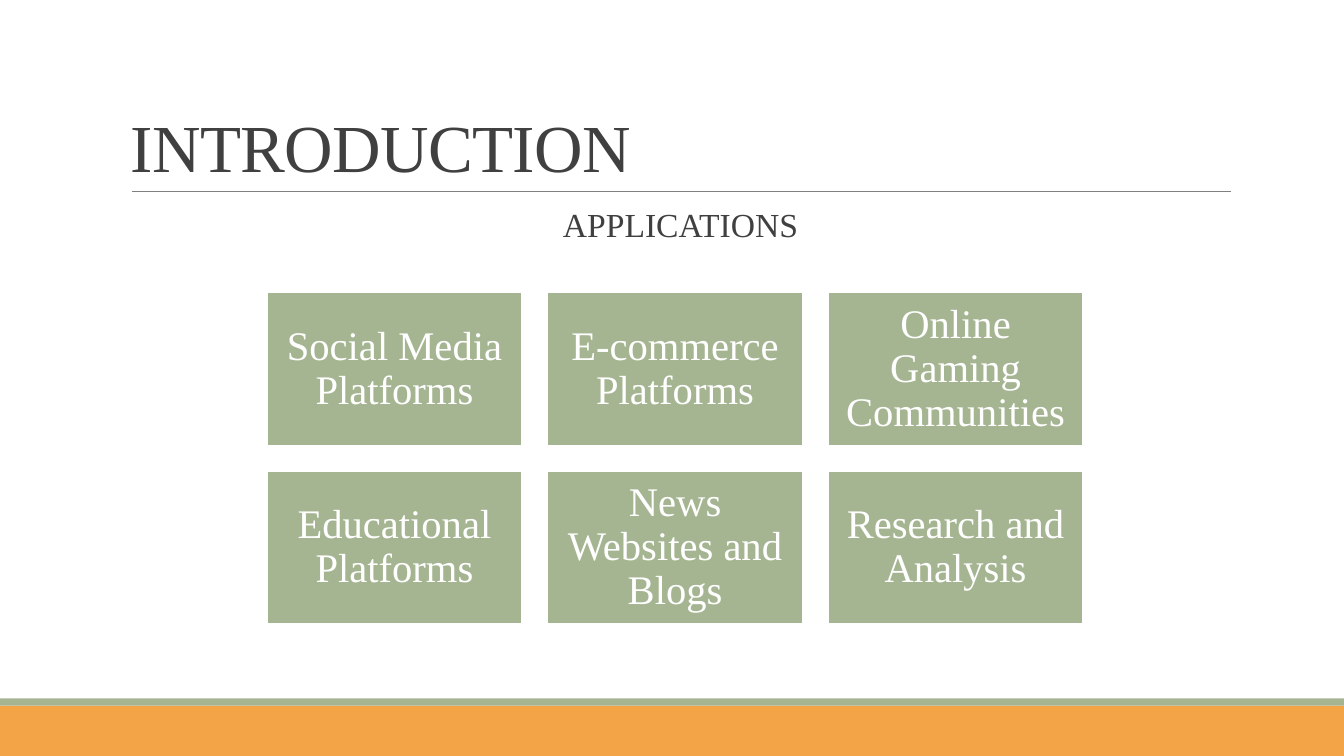
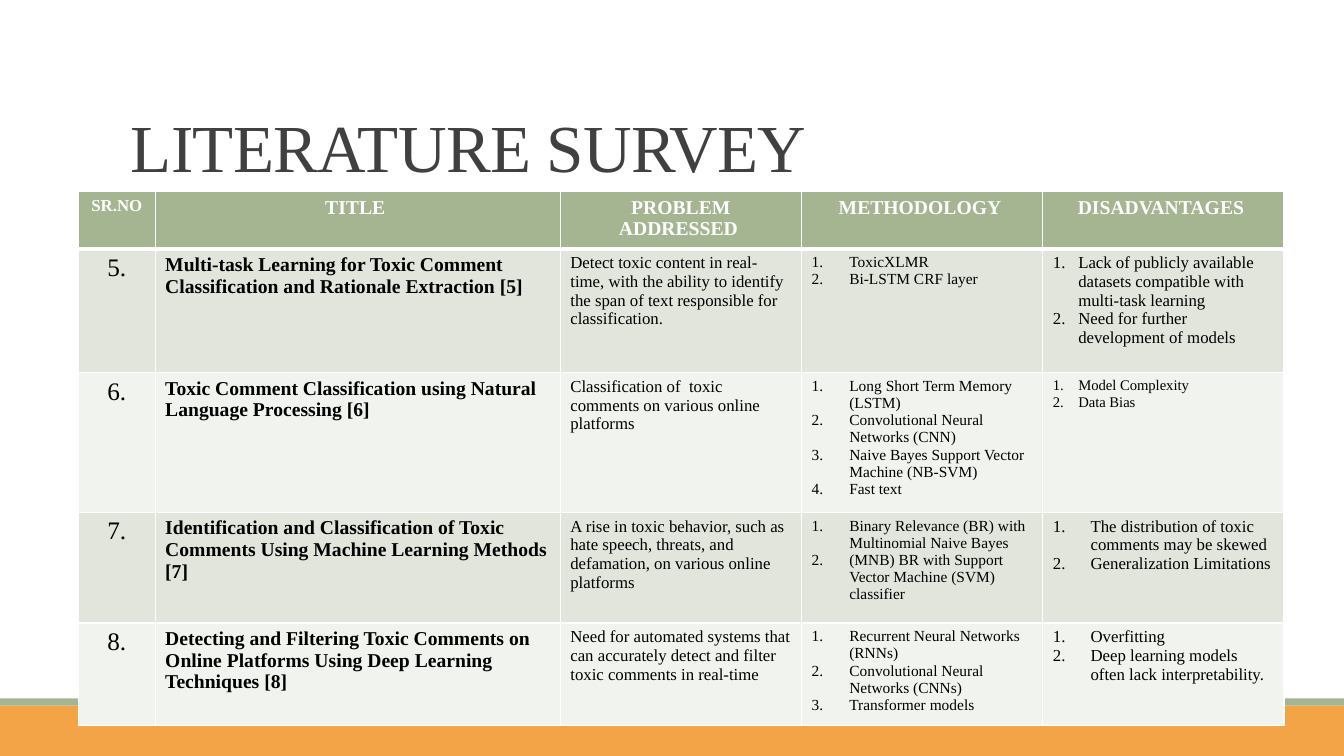
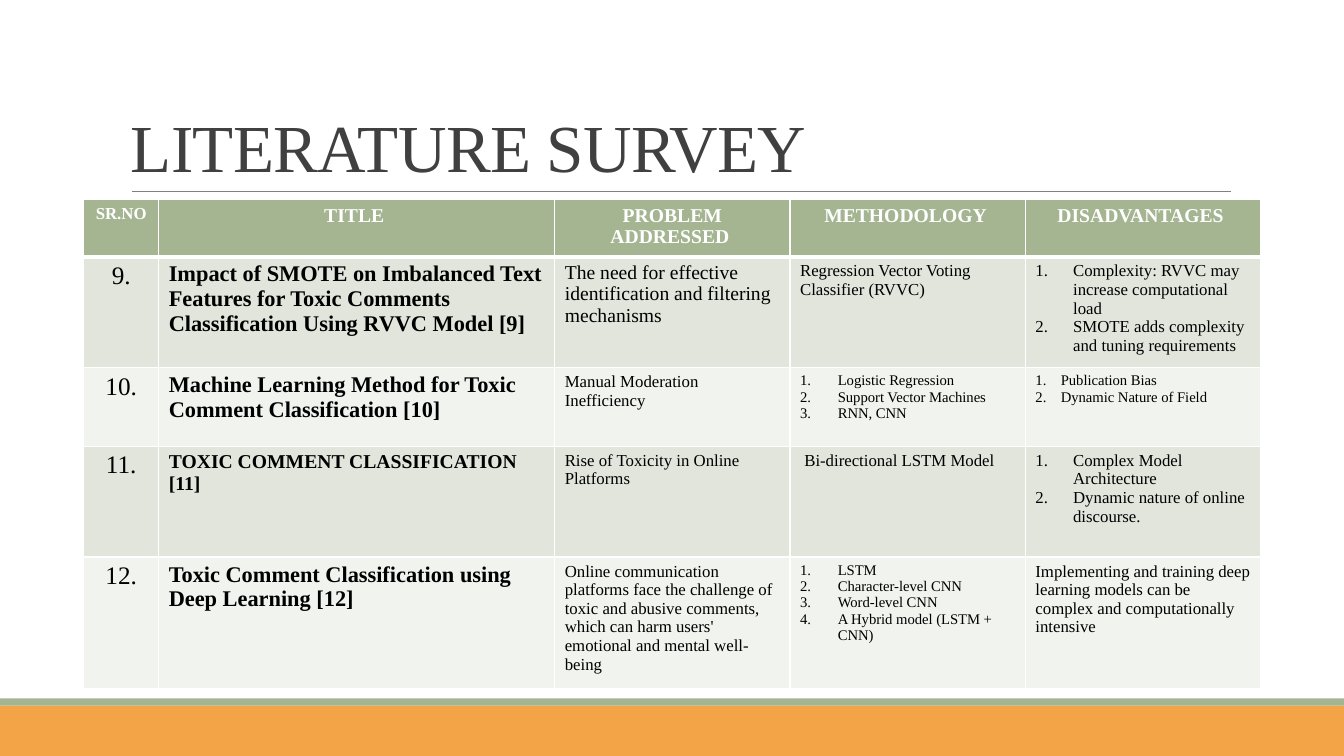
"""Build three slides on toxic comment classification."""
from dataclasses import dataclass

from lxml import etree
from pptx import Presentation
from pptx.dml.color import RGBColor
from pptx.enum.shapes import MSO_CONNECTOR, MSO_SHAPE
from pptx.enum.text import MSO_ANCHOR, PP_ALIGN
from pptx.oxml.ns import qn
from pptx.presentation import Presentation as Deck
from pptx.shapes.autoshape import Shape
from pptx.slide import Slide
from pptx.table import _Cell
from pptx.text.text import _Paragraph
from pptx.util import Cm, Pt

RECTANGLE = MSO_SHAPE.RECTANGLE
STRAIGHT = MSO_CONNECTOR.STRAIGHT
BOTTOM, MIDDLE, TOP = MSO_ANCHOR.BOTTOM, MSO_ANCHOR.MIDDLE, MSO_ANCHOR.TOP
LEFT, CENTER = PP_ALIGN.LEFT, PP_ALIGN.CENTER
BLANK_LAYOUT = 6
SLIDE_WIDTH, SLIDE_HEIGHT = 33.87, 19.05
WIDE, NARROW = 0.95, 0.64
BORDER_SIDES = ("L", "R", "T", "B")


@dataclass(frozen=True)
class Theme:
    font: str = "Times New Roman"
    white: RGBColor = RGBColor(0xFF, 0xFF, 0xFF)
    black: RGBColor = RGBColor(0x00, 0x00, 0x00)
    heading: RGBColor = RGBColor(0x40, 0x40, 0x40)
    rule: RGBColor = RGBColor(0x80, 0x80, 0x80)
    green: RGBColor = RGBColor(0xA5, 0xB5, 0x92)
    orange: RGBColor = RGBColor(0xF3, 0xA4, 0x47)
    row_dark: RGBColor = RGBColor(0xE1, 0xE5, 0xDC)
    row_light: RGBColor = RGBColor(0xF0, 0xF3, 0xEE)
    title_size: float = 48
    card_size: float = 29
    subtitle_size: float = 24
    number_size: float = 18
    large_size: float = 16
    medium_size: float = 14
    body_size: float = 12
    small_size: float = 11
    tiny_size: float = 10.5


THEME = Theme()


@dataclass(frozen=True)
class Box:
    left: float
    top: float
    width: float
    height: float


@dataclass(frozen=True)
class Band:
    box: Box
    color: RGBColor


@dataclass(frozen=True)
class CellText:
    lines: tuple[str, ...]
    size: float = THEME.body_size
    indent: float = 0
    bold: bool = False
    align: PP_ALIGN = LEFT


@dataclass(frozen=True)
class Paper:
    number: int
    title: str
    problem: str
    methodology: CellText
    disadvantages: CellText
    title_size: float = THEME.medium_size
    problem_size: float = THEME.body_size

    def cells(self) -> list[CellText]:
        return [
            CellText((f"{self.number}.",), THEME.number_size, align=CENTER),
            CellText((self.title,), self.title_size, bold=True),
            CellText((self.problem,), self.problem_size),
            self.methodology,
            self.disadvantages,
        ]


@dataclass(frozen=True)
class Survey:
    left: float
    top: float
    columns: tuple[float, ...]
    rows: tuple[float, ...]
    papers: tuple[Paper, ...]


BANDS = (
    Band(Box(0, 17.78, SLIDE_WIDTH, 1.27), THEME.orange),
    Band(Box(0, 17.6, SLIDE_WIDTH, 0.18), THEME.green),
)
TITLE_BOX = Box(3.05, 0.79, 27.94, 4.04)
SUBTITLE_BOX = Box(3.18, 5.13, 27.94, 1.5)
RULE_LEFT, RULE_RIGHT, RULE_TOP = 3.33, 31.01, 4.83
FIRST_CARD = Box(6.73, 7.37, 6.43, 3.86)
CARD_GAP = 0.64
CARDS_PER_ROW = 3
APPLICATIONS = (
    "Social Media Platforms",
    "E-commerce Platforms",
    "Online Gaming Communities",
    "Educational Platforms",
    "News Websites and Blogs",
    "Research and Analysis",
)
HEADINGS = ("SR.NO", "TITLE ", "PROBLEM ADDRESSED ", "METHODOLOGY ", "DISADVANTAGES ")

SURVEYS = (
    Survey(
        1.98, 4.83, (1.93, 10.21, 6.08, 6.08, 6.08), (1.37, 3.12, 3.33, 2.79, 2.44),
        (
            Paper(
                5,
                "Multi-task Learning for Toxic Comment Classification and Rationale Extraction [5]",
                "Detect toxic content in real-time, with the ability to identify the span of text "
                "responsible for classification.",
                CellText(("ToxicXLMR", "Bi-LSTM CRF layer"), THEME.small_size, WIDE),
                CellText(("Lack of publicly available datasets compatible with multi-task learning",
                          "Need for further development of models"), indent=NARROW),
            ),
            Paper(
                6,
                "Toxic Comment Classification using Natural Language Processing [6]",
                "Classification of  toxic comments on various online platforms",
                CellText(("Long Short Term Memory (LSTM)", "Convolutional Neural Networks (CNN)",
                          "Naive Bayes Support Vector Machine (NB-SVM)", "Fast text"),
                         THEME.small_size, WIDE),
                CellText(("Model Complexity", "Data Bias"), THEME.tiny_size, NARROW),
            ),
            Paper(
                7,
                "Identification and Classification of Toxic Comments Using Machine Learning Methods [7]",
                "A rise in toxic behavior, such as hate speech, threats, and defamation, on various "
                "online platforms",
                CellText(("Binary Relevance (BR) with Multinomial Naive Bayes",
                          "(MNB) BR with Support Vector Machine (SVM) classifier"),
                         THEME.small_size, WIDE),
                CellText(("The distribution of toxic comments may be skewed",
                          "Generalization Limitations"), indent=WIDE),
            ),
            Paper(
                8,
                "Detecting and Filtering Toxic Comments on Online Platforms Using Deep Learning "
                "Techniques [8]",
                "Need for automated systems that can accurately detect and filter toxic comments in "
                "real-time",
                CellText(("Recurrent Neural Networks (RNNs)", "Convolutional Neural Networks (CNNs)",
                          "Transformer models"), THEME.small_size, WIDE),
                CellText(("Overfitting", "Deep learning models often lack interpretability."),
                         indent=WIDE),
            ),
        ),
    ),
    Survey(
        2.11, 5.03, (1.89, 9.98, 5.93, 5.93, 5.93), (1.3, 2.69, 1.98, 2.79, 2.46),
        (
            Paper(
                9,
                "Impact of SMOTE on Imbalanced Text Features for Toxic Comments Classification Using "
                "RVVC Model [9]",
                "The need for effective identification and filtering mechanisms",
                CellText(("Regression Vector Voting Classifier (RVVC)",)),
                CellText(("Complexity: RVVC may increase computational load",
                          "SMOTE adds complexity and tuning requirements"), indent=WIDE),
                THEME.large_size,
                THEME.medium_size,
            ),
            Paper(
                10,
                "Machine Learning Method for Toxic Comment Classification [10]",
                "Manual Moderation Inefficiency",
                CellText(("Logistic Regression", "Support Vector Machines", "RNN, CNN"),
                         THEME.tiny_size, WIDE),
                CellText(("Publication Bias", "Dynamic Nature of Field"), THEME.tiny_size, NARROW),
                THEME.large_size,
            ),
            Paper(
                11,
                "TOXIC COMMENT CLASSIFICATION [11]",
                "Rise of Toxicity in Online Platforms",
                CellText((" Bi-directional LSTM Model",)),
                CellText(("Complex Model Architecture", "Dynamic nature of online discourse."),
                         indent=WIDE),
            ),
            Paper(
                12,
                "Toxic Comment Classification using Deep Learning [12]",
                "Online communication platforms face the challenge of toxic and abusive comments, "
                "which can harm users' emotional and mental well-being",
                CellText(("LSTM", "Character-level CNN", "Word-level CNN",
                          "A Hybrid model (LSTM + CNN)"), THEME.tiny_size, WIDE),
                CellText(("Implementing and training deep learning models can be complex and "
                          "computationally intensive",)),
                THEME.large_size,
            ),
        ),
    ),
)


def add_run(paragraph: _Paragraph, text: str, size: float, color: RGBColor,
            bold: bool = False, spacing: int = 0) -> None:
    run = paragraph.add_run()
    run.text = text
    run.font.name = THEME.font
    run.font.size = Pt(size)
    run.font.bold = bold
    run.font.color.rgb = color
    if spacing:
        run._r.get_or_add_rPr().set("spc", str(spacing))


def add_rectangle(slide: Slide, box: Box, color: RGBColor) -> Shape:
    shape = slide.shapes.add_shape(
        RECTANGLE, Cm(box.left), Cm(box.top), Cm(box.width), Cm(box.height))
    shape.shadow.inherit = False
    shape.fill.solid()
    shape.fill.fore_color.rgb = color
    shape.line.fill.background()
    return shape


def add_text_box(slide: Slide, box: Box, anchor: MSO_ANCHOR) -> _Paragraph:
    shape = slide.shapes.add_textbox(Cm(box.left), Cm(box.top), Cm(box.width), Cm(box.height))
    shape.text_frame.word_wrap = True
    shape.text_frame.vertical_anchor = anchor
    return shape.text_frame.paragraphs[0]


def add_titled_slide(presentation: Deck, title: str) -> Slide:
    slide = presentation.slides.add_slide(presentation.slide_layouts[BLANK_LAYOUT])
    for band in BANDS:
        add_rectangle(slide, band.box, band.color)
    rule = slide.shapes.add_connector(
        STRAIGHT, Cm(RULE_LEFT), Cm(RULE_TOP), Cm(RULE_RIGHT), Cm(RULE_TOP))
    rule.line.color.rgb = THEME.rule
    rule.line.width = Pt(0.5)
    etree.SubElement(rule._element.spPr, qn("a:effectLst"))
    paragraph = add_text_box(slide, TITLE_BOX, BOTTOM)
    paragraph.line_spacing = 0.85
    add_run(paragraph, title, THEME.title_size, THEME.heading, spacing=-50)
    return slide


def add_card(slide: Slide, box: Box, text: str) -> None:
    card = add_rectangle(slide, box, THEME.green)
    card.line.color.rgb = THEME.white
    card.line.width = Pt(1.25)
    frame = card.text_frame
    frame.word_wrap = True
    frame.vertical_anchor = MIDDLE
    frame.margin_left = frame.margin_right = frame.margin_top = frame.margin_bottom = Cm(0.3)
    paragraph = frame.paragraphs[0]
    paragraph.alignment = CENTER
    paragraph.line_spacing = 0.9
    add_run(paragraph, text, THEME.card_size, THEME.white)


def add_applications(slide: Slide) -> None:
    paragraph = add_text_box(slide, SUBTITLE_BOX, TOP)
    paragraph.alignment = CENTER
    paragraph.line_spacing = 0.9
    paragraph.space_before = Pt(12)
    add_run(paragraph, "APPLICATIONS", THEME.subtitle_size, THEME.heading)
    for index, text in enumerate(APPLICATIONS):
        row, column = divmod(index, CARDS_PER_ROW)
        left = FIRST_CARD.left + column * (FIRST_CARD.width + CARD_GAP)
        top = FIRST_CARD.top + row * (FIRST_CARD.height + CARD_GAP)
        add_card(slide, Box(left, top, FIRST_CARD.width, FIRST_CARD.height), text)


def number_paragraph(paragraph: _Paragraph, indent: float) -> None:
    properties = paragraph._p.get_or_add_pPr()
    properties.set("marL", str(Cm(indent)))
    properties.set("indent", str(-Cm(indent)))
    etree.SubElement(properties, qn("a:buAutoNum"), type="arabicPeriod")


def set_borders(cell: _Cell, row: int) -> None:
    properties = cell._tc.get_or_add_tcPr()
    for side in BORDER_SIDES:
        thick = (row, side) in ((0, "B"), (1, "T"))
        line = etree.SubElement(properties, qn(f"a:ln{side}"), w=str(Pt(3 if thick else 1)))
        fill = etree.SubElement(line, qn("a:solidFill"))
        etree.SubElement(fill, qn("a:srgbClr"), val=str(THEME.white))


def fill_cell(cell: _Cell, content: CellText, row: int) -> None:
    set_borders(cell, row)
    banding = THEME.row_dark if row % 2 else THEME.row_light
    cell.fill.solid()
    cell.fill.fore_color.rgb = banding if row else THEME.green
    color = THEME.black if row else THEME.white
    frame = cell.text_frame
    for index, text in enumerate(content.lines):
        paragraph = frame.add_paragraph() if index else frame.paragraphs[0]
        paragraph.alignment = content.align
        if content.indent:
            number_paragraph(paragraph, content.indent)
        add_run(paragraph, text, content.size, color, content.bold)


def add_survey(slide: Slide, survey: Survey) -> None:
    table = slide.shapes.add_table(
        len(survey.rows), len(survey.columns), Cm(survey.left), Cm(survey.top),
        Cm(sum(survey.columns)), Cm(sum(survey.rows))).table
    table.first_row = False
    table.horz_banding = False
    for column, width in zip(table.columns, survey.columns):
        column.width = Cm(width)
    for row, height in zip(table.rows, survey.rows):
        row.height = Cm(height)
    header = [
        CellText((text,), THEME.medium_size if index else THEME.body_size, bold=True, align=CENTER)
        for index, text in enumerate(HEADINGS)
    ]
    contents = [header, *(paper.cells() for paper in survey.papers)]
    for row_index, row_contents in enumerate(contents):
        for column_index, content in enumerate(row_contents):
            fill_cell(table.cell(row_index, column_index), content, row_index)


def main() -> None:
    presentation = Presentation()
    presentation.slide_width = Cm(SLIDE_WIDTH)
    presentation.slide_height = Cm(SLIDE_HEIGHT)
    add_applications(add_titled_slide(presentation, "INTRODUCTION"))
    for survey in SURVEYS:
        add_survey(add_titled_slide(presentation, "LITERATURE SURVEY"), survey)
    presentation.save("out.pptx")


if __name__ == "__main__":
    main()
